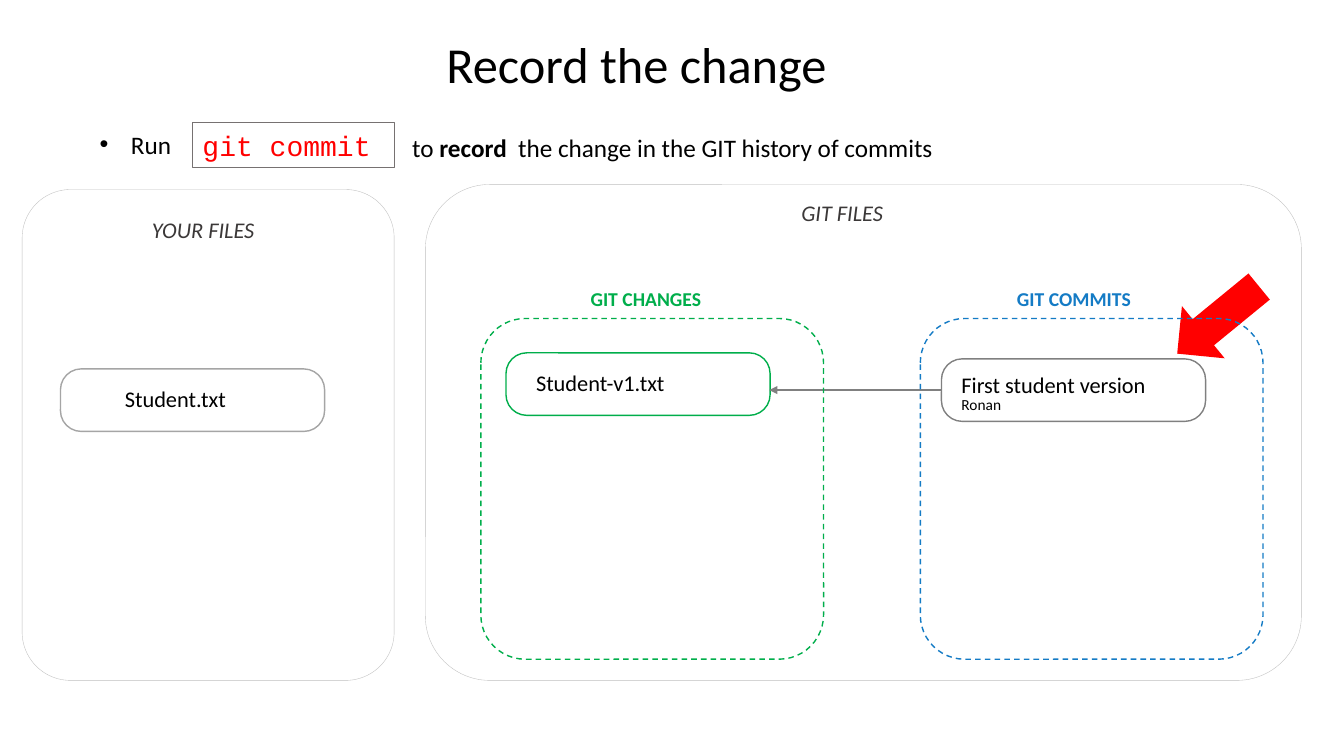
"""Build the slide that shows how a commit records a change."""
import dataclasses
import typing

import lxml.etree
import pptx
import pptx.dml.color
import pptx.enum.dml
import pptx.enum.shapes
import pptx.enum.text
import pptx.oxml.ns
import pptx.util

SHAPE = pptx.enum.shapes.MSO_SHAPE
ALIGN = pptx.enum.text.PP_ALIGN


@dataclasses.dataclass(frozen=True)
class Theme:
    body: str = "Calibri"
    code: str = "Courier New"
    black: str = "000000"
    heading: str = "3B3838"
    white: str = "FFFFFF"
    red: str = "FF0000"
    green: str = "00AE4B"
    blue: str = "147BC5"
    panel: str = "BFBFBF"
    file: str = "A5A5A5"
    commit: str = "808080"
    command: str = "767171"
    title_pt: float = 36
    command_pt: float = 20
    line_pt: float = 18
    label_pt: float = 16
    area_pt: float = 14
    author_pt: float = 11


T = Theme()


class Box(typing.NamedTuple):
    """Percent shares of the slide's width and height."""
    x: float
    y: float
    w: float
    h: float


class Run(typing.NamedTuple):
    text: str
    bold: bool = False


@dataclasses.dataclass(frozen=True)
class Text:
    runs: tuple[Run, ...]
    size: float = T.label_pt
    color: str = T.black
    font: str = T.body
    italic: bool = False
    align: ALIGN = ALIGN.LEFT
    wrap: bool = False
    bullet: bool = False


@dataclasses.dataclass(frozen=True)
class Label:
    box: Box
    text: Text


@dataclasses.dataclass(frozen=True)
class Block:
    box: Box
    kind: SHAPE = SHAPE.ROUNDED_RECTANGLE
    corner: typing.Optional[float] = None
    fill: typing.Optional[str] = None
    line: typing.Optional[str] = None
    weight: float = 1
    dashed: bool = False
    rotation: float = 0
    text: typing.Optional[Text] = None


@dataclasses.dataclass(frozen=True)
class Arrow:
    start: tuple[float, float]
    end: tuple[float, float]
    color: str


def plain(text: str, **style: typing.Any) -> Text:
    return Text((Run(text),), **style)


def heading(x: float, y: float, text: str) -> Label:
    return Label(Box(x, y, 9.83, 4.93),
                 plain(text, color=T.heading, italic=True, align=ALIGN.CENTER, wrap=True))


def panel(box: Box) -> Block:
    return Block(box, corner=0.13, line=T.panel, weight=0.25)


def card(x: float, y: float, color: str) -> Block:
    return Block(Box(x, y, 19.65, 8.27), corner=0.332, fill=T.white, line=color)


def area(x: float, color: str) -> Block:
    return Block(Box(x, 42.13, 25.5, 45.07), corner=0.13, line=color, dashed=True)


def area_label(x: float, w: float, text: str, color: str) -> Label:
    return Label(Box(x, 37.33, w, 4.53), Text((Run(text, True),), T.area_pt, color))


ITEMS: list[typing.Union[Label, Block, Arrow]] = [
    Label(Box(32.48, 3.73, 30.6, 9.47), plain("Record the change", size=T.title_pt)),
    heading(10.2, 27.87, "YOUR FILES"),
    card(4.5, 48.8, T.file),
    Label(Box(8.55, 50.27, 9.15, 4.93), plain("Student.txt")),
    panel(Box(1.65, 25.07, 27.68, 64.93)),
    Label(Box(6.68, 16.4, 8.93, 5.33), plain("Run", size=T.line_pt, wrap=True, bullet=True)),
    Block(Box(14.33, 16.27, 15, 5.87), SHAPE.RECTANGLE, line=T.command, weight=0.75,
          text=plain("git commit", size=T.command_pt, color=T.red, font=T.code, wrap=True)),
    Label(Box(29.93, 16.8, 48.45, 5.33),
          Text((Run("to "), Run("record ", True),
                Run(" the change in the GIT history of commits")), T.line_pt, wrap=True)),
    panel(Box(31.65, 24.4, 65.18, 65.6)),
    heading(57.75, 25.73, "GIT FILES"),
    card(37.65, 46.67, T.green),
    Label(Box(39.15, 48.13, 11.25, 4.93), plain("Student-v1.txt")),
    Block(Box(86.7, 37.87, 7.88, 8.93), SHAPE.RIGHT_ARROW, fill=T.red, rotation=140.7),
    card(70.05, 47.47, T.commit),
    Label(Box(70.8, 48.4, 15.38, 4.93), plain("First student version")),
    Arrow((70.05, 51.6), (57.23, 51.6), T.commit),
    Label(Box(70.8, 51.6, 4.5, 3.87), plain("Ronan", size=T.author_pt)),
    area(35.78, T.green),
    area(68.48, T.blue),
    area_label(43.2, 9.83, "GIT CHANGES", T.green),
    area_label(74.93, 10.05, "GIT COMMITS", T.blue),
]


def rgb(color: str) -> pptx.dml.color.RGBColor:
    return pptx.dml.color.RGBColor.from_string(color)


def across(share: float) -> int:
    return pptx.util.Inches(13.333 * share / 100)


def down(share: float) -> int:
    return pptx.util.Inches(7.5 * share / 100)


def place(box: Box) -> tuple[int, int, int, int]:
    return across(box.x), down(box.y), across(box.w), down(box.h)


def child(parent: typing.Any, tag: str, **attrs: str) -> None:
    lxml.etree.SubElement(parent, pptx.oxml.ns.qn(tag), attrs)


def write(tf: typing.Any, text: Text) -> None:
    tf.word_wrap = text.wrap
    tf.auto_size = pptx.enum.text.MSO_AUTO_SIZE.SHAPE_TO_FIT_TEXT
    p = tf.paragraphs[0]
    p.alignment = text.align
    if text.bullet:
        pPr = p._p.get_or_add_pPr()
        indent = pptx.util.Inches(0.31)
        pPr.set("marL", str(indent))
        pPr.set("indent", str(-indent))
        child(pPr, "a:buFont", typeface="Arial")
        child(pPr, "a:buChar", char="•")
    p.font.name, p.font.size = text.font, pptx.util.Pt(text.size)
    p.font.italic = text.italic
    p.font.color.rgb = rgb(text.color)
    for run in text.runs:
        r = p.add_run()
        r.text, r.font.bold = run.text, run.bold


def draw_block(s: typing.Any, block: Block) -> None:
    sp = s.shapes.add_shape(block.kind, *place(block.box))
    sp.shadow.inherit = False
    sp.rotation = block.rotation
    if block.corner is not None:
        sp.adjustments[0] = block.corner
    for part, color in ((sp.fill, block.fill), (sp.line.fill, block.line)):
        if color:
            part.solid()
            part.fore_color.rgb = rgb(color)
        else:
            part.background()
    if block.line:
        sp.line.width = pptx.util.Pt(block.weight)
    if block.dashed:
        sp.line.dash_style = pptx.enum.dml.MSO_LINE.DASH
    if block.text:
        write(sp.text_frame, block.text)


def draw_arrow(s: typing.Any, arrow: Arrow) -> None:
    (x1, y1), (x2, y2) = arrow.start, arrow.end
    sp = s.shapes.add_connector(pptx.enum.shapes.MSO_CONNECTOR.STRAIGHT,
                                across(x1), down(y1), across(x2), down(y2))
    sp.line.color.rgb = rgb(arrow.color)
    sp.line.width = pptx.util.Pt(1)
    child(sp.line._get_or_add_ln(), "a:tailEnd", type="triangle")
    child(sp._element.spPr, "a:effectLst")


def main() -> None:
    prs = pptx.Presentation()
    prs.slide_width, prs.slide_height = across(100), down(100)
    s = prs.slides.add_slide(prs.slide_layouts[6])
    for item in ITEMS:
        if isinstance(item, Label):
            write(s.shapes.add_textbox(*place(item.box)).text_frame, item.text)
        elif isinstance(item, Block):
            draw_block(s, item)
        else:
            draw_arrow(s, item)
    prs.save("out.pptx")


if __name__ == "__main__":
    main()
